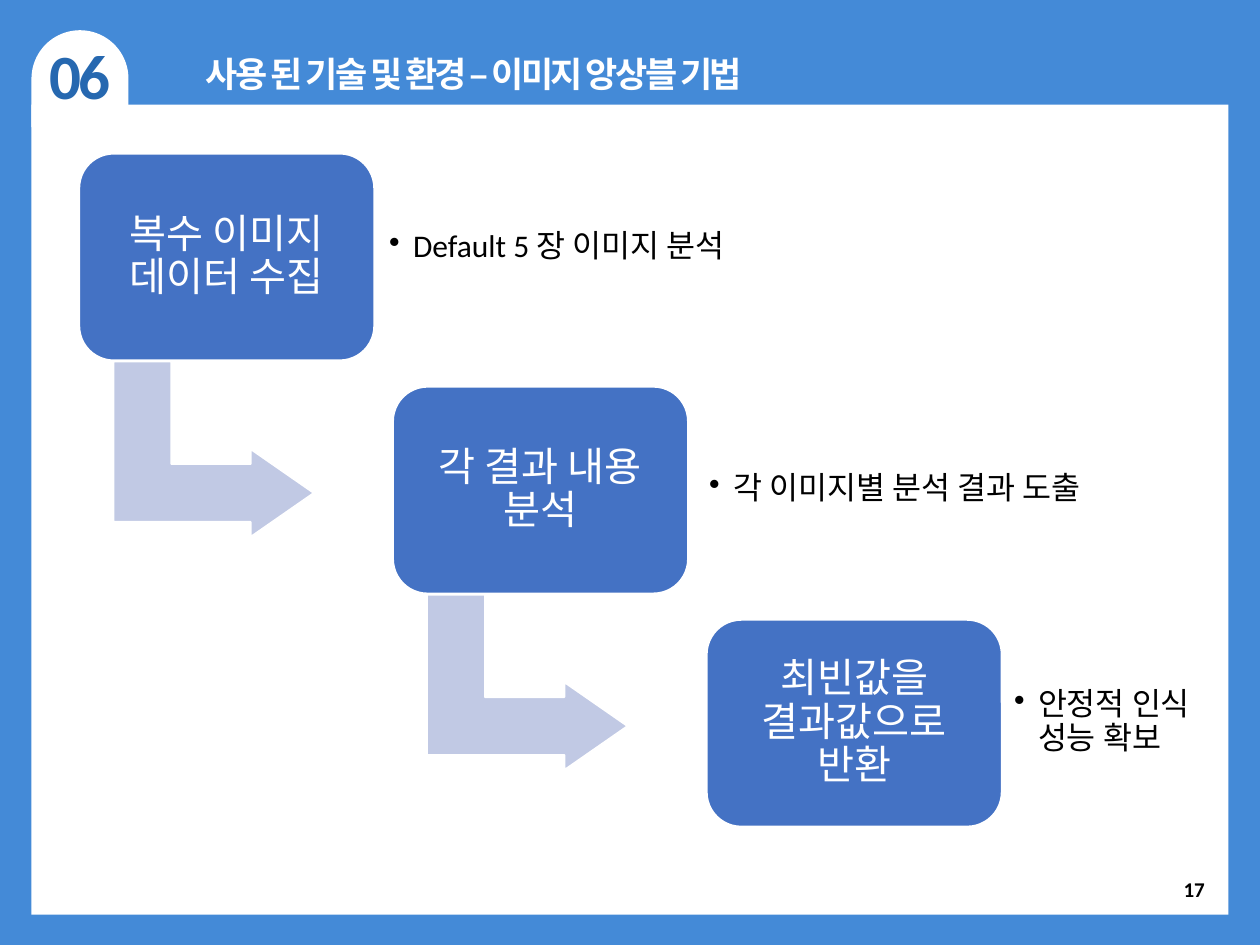
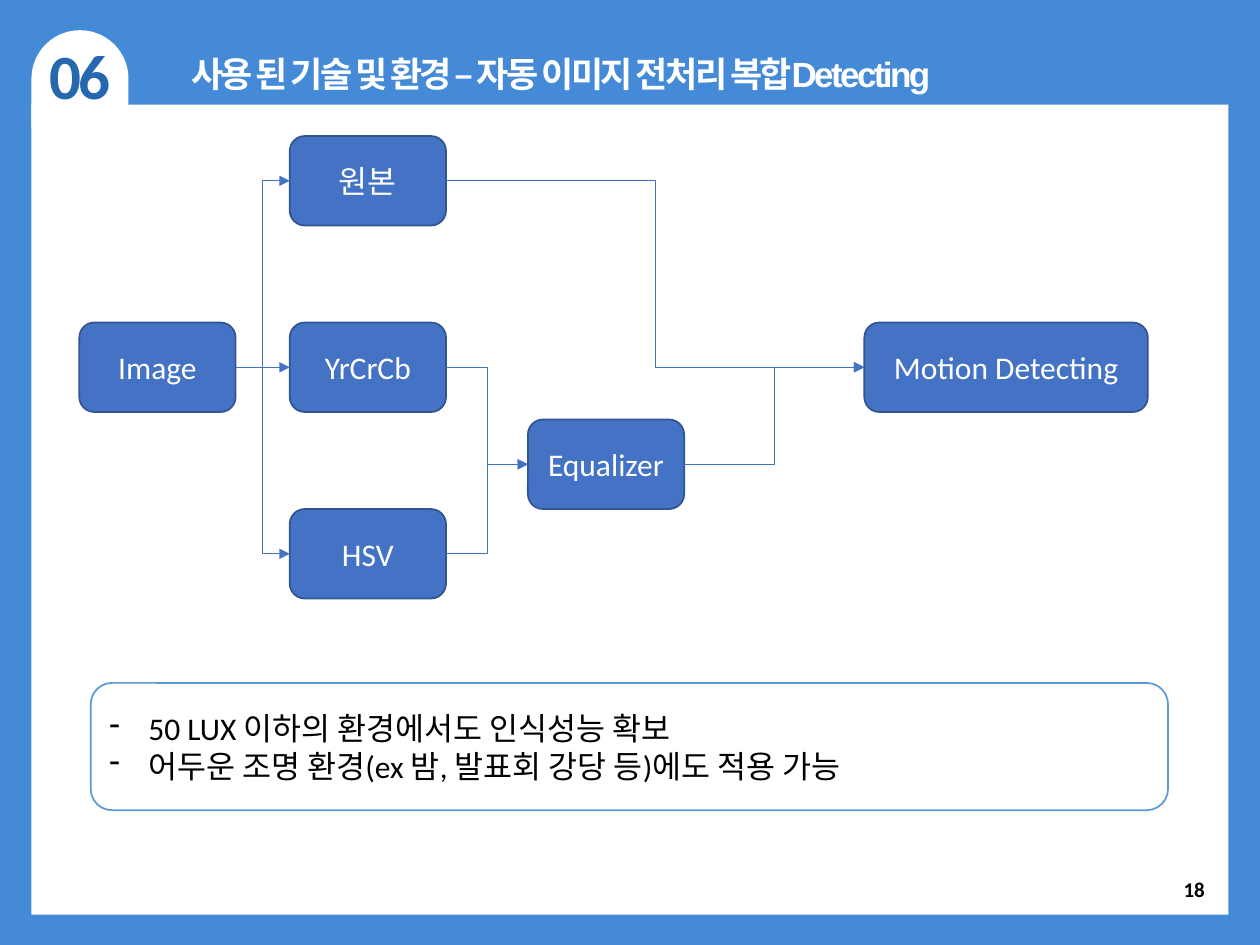
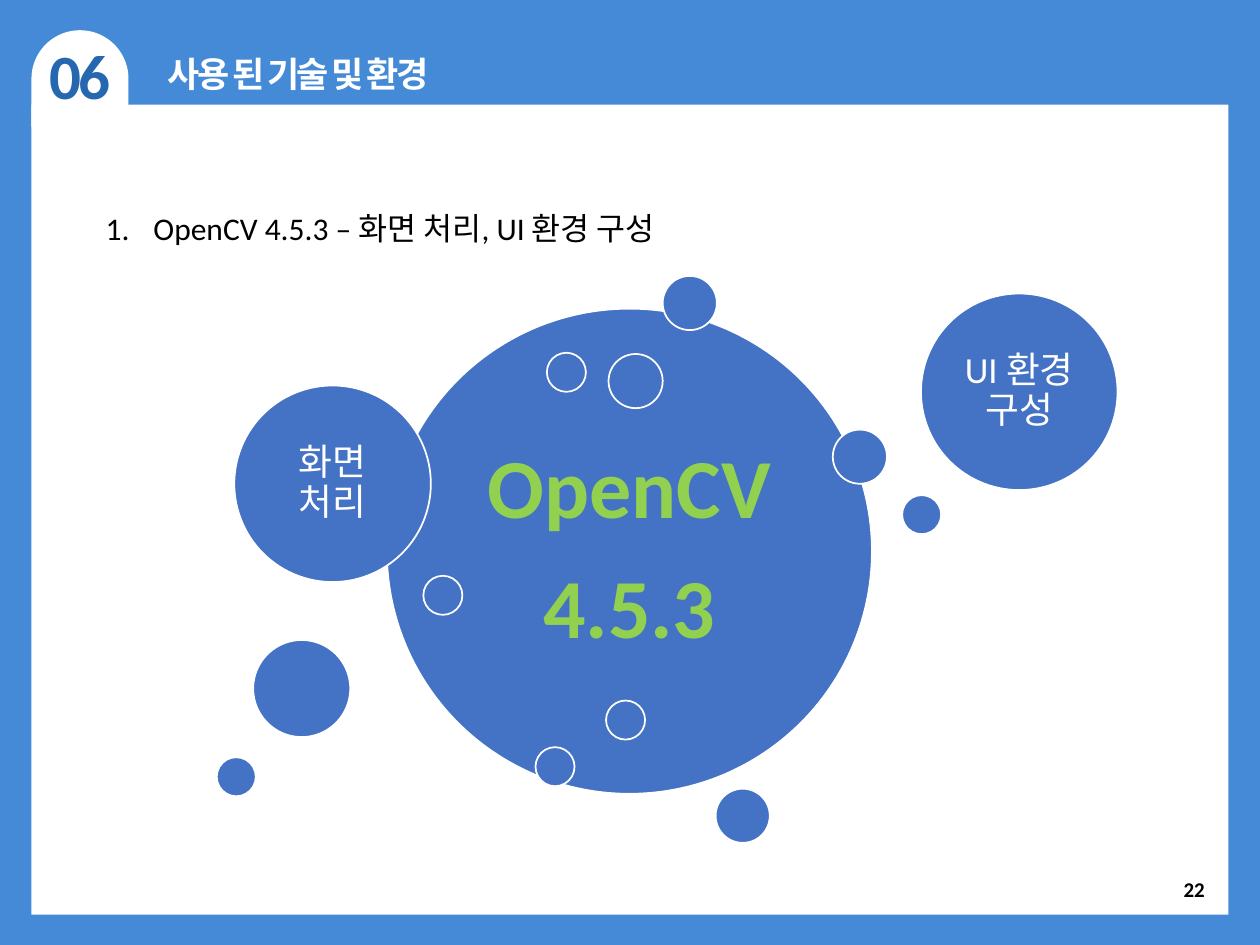
"""Build three slides on the techniques and environment of an image project."""
from dataclasses import dataclass
from typing import Optional

from lxml import etree
from pptx import Presentation
from pptx.dml.color import RGBColor
from pptx.enum.shapes import MSO_CONNECTOR, MSO_SHAPE
from pptx.enum.text import MSO_ANCHOR, PP_ALIGN
from pptx.oxml.ns import qn
from pptx.util import Inches, Pt

RECT = MSO_SHAPE.RECTANGLE
ROUND = MSO_SHAPE.ROUNDED_RECTANGLE
OVAL = MSO_SHAPE.OVAL
DELAY = MSO_SHAPE.FLOWCHART_DELAY
BENT = MSO_SHAPE.BENT_UP_ARROW
ELBOW = MSO_CONNECTOR.ELBOW
LEFT, MID, RIGHT = PP_ALIGN.LEFT, PP_ALIGN.CENTER, PP_ALIGN.RIGHT
TOP, CORE = MSO_ANCHOR.TOP, MSO_ANCHOR.MIDDLE

COLORS = {
    "sky": "448AD7", "white": "FFFFFF", "black": "000000", "badge": "2668B0",
    "blue": "4472C4", "edge": "325491", "pale": "C1C9E4", "rim": "5B9BD5",
    "lime": "92D050",
}


@dataclass(frozen=True)
class Area:
    left: float
    top: float
    width: float
    height: float


@dataclass(frozen=True)
class Style:
    size: float
    color: str = "black"
    bold: bool = False
    face: str = "Calibri"
    track: int = 0
    align: PP_ALIGN = LEFT
    anchor: MSO_ANCHOR = CORE
    wrap: bool = True
    pad: Optional[float] = None
    line: Optional[float] = None
    after: float = 0
    mark: str = ""
    hang: float = 0


@dataclass(frozen=True)
class Stage:
    label: str
    note: str
    area: Area


@dataclass(frozen=True)
class Node:
    label: str
    left: float
    top: float
    width: float = 1.24


@dataclass(frozen=True)
class Dot:
    left: float
    top: float
    size: float
    lines: tuple = ()
    style: Optional[Style] = None


PAGE = Style(12, bold=True, align=RIGHT)
BADGE = Style(36, "badge", True, track=-150, align=MID, anchor=TOP, wrap=False)
TITLE = Style(20, "white", True, "Arial", -150, MID, TOP, False)
STEP = Style(23, "white", align=MID, pad=0.1, line=0.9, after=8)
NOTE = Style(18, pad=0.1, line=0.9, after=2.7, mark="•", hang=0.19)
NODE = Style(18, "white", align=MID)
DASH = Style(18, mark="-", hang=0.31)
ITEM = Style(18, anchor=TOP, mark="1.", hang=0.38)
CORE_TEXT = Style(48, "lime", True, align=MID, pad=0.2, line=0.9, after=16.8)
SIDE_TEXT = Style(21, "white", align=MID, pad=0.09, line=0.9, after=7.4)

STAGES = (
    Stage("복수 이미지 데이터 수집", "Default 5 장 이미지 분석", Area(2.99, 1.3, 3.96, 1.33)),
    Stage("각 결과 내용 분석", "각 이미지별 분석 결과 도출", Area(5.53, 3.22, 3.41, 1.33)),
    Stage("최빈값을 결과값으로 반환", "안정적 인식 성능 확보", Area(7.95, 5.07, 1.7, 1.33)),
)
NODES = (
    Node("Image", 0.63, 2.56),
    Node("원본", 2.3, 1.08),
    Node("YrCrCb", 2.3, 2.56),
    Node("HSV", 2.3, 4.04),
    Node("Equalizer", 4.19, 3.33),
    Node("Motion Detecting", 6.86, 2.56, 2.25),
)
LINKS = (
    ("Image", "원본"), ("Image", "YrCrCb"), ("Image", "HSV"),
    ("원본", "Motion Detecting"), ("YrCrCb", "Equalizer"),
    ("HSV", "Equalizer"), ("Equalizer", "Motion Detecting"),
)
BIG, MAIN, SIDE, SMALL, TINY = 3.85, 1.56, 0.77, 0.43, 0.31
DOTS = (
    Dot(3.07, 2.45, BIG, ("OpenCV", "4.5.3"), CORE_TEXT),
    Dot(5.26, 2.19, SMALL),
    Dot(4.25, 5.93, TINY),
    Dot(7.16, 3.93, TINY),
    Dot(5.68, 6.26, SMALL),
    Dot(4.34, 2.8, TINY),
    Dot(3.36, 4.57, TINY),
    Dot(1.86, 3.06, MAIN, ("화면 처리",), SIDE_TEXT),
    Dot(4.83, 2.81, SMALL),
    Dot(2.01, 5.08, SIDE),
    Dot(7.31, 2.33, MAIN, ("UI 환경 구성",), SIDE_TEXT),
    Dot(6.61, 3.41, SMALL),
    Dot(1.72, 6.01, TINY),
    Dot(4.81, 5.56, TINY),
)


def rgb(name: str) -> RGBColor:
    """Look up a named colour."""
    return RGBColor.from_string(COLORS[name])


def frame(area: Area) -> tuple:
    """Turn an area into lengths."""
    return tuple(Inches(n) for n in (area.left, area.top, area.width, area.height))


def bullet(para, style: Style) -> None:
    """Give a paragraph a hanging bullet or number."""
    props = para._p.get_or_add_pPr()
    props.set("marL", str(Inches(style.hang)))
    props.set("indent", str(-Inches(style.hang)))
    if style.mark == "1.":
        etree.SubElement(props, qn("a:buAutoNum"), type="arabicPeriod")
    else:
        etree.SubElement(props, qn("a:buChar"), char=style.mark)


def write(shape, lines: tuple, style: Style) -> None:
    """Write lines into a shape, one paragraph each."""
    text = shape.text_frame
    text.word_wrap = style.wrap
    text.vertical_anchor = style.anchor
    if style.pad is not None:
        text.margin_left = text.margin_right = Inches(style.pad)
        text.margin_top = text.margin_bottom = Inches(style.pad)
    for i, line in enumerate(lines):
        para = text.add_paragraph() if i else text.paragraphs[0]
        if style.mark:
            bullet(para, style)
        para.alignment = style.align
        if style.line:
            para.line_spacing = style.line
        if style.after:
            para.space_after = Pt(style.after)
        run = para.add_run()
        run.text = line
        font = run.font
        font.name, font.size, font.bold = style.face, Pt(style.size), style.bold
        font.color.rgb = rgb(style.color)
        if style.track:
            run._r.get_or_add_rPr().set("spc", str(style.track))


def label(slide, area: Area, lines: tuple, style: Style) -> None:
    """Add a text box."""
    write(slide.shapes.add_textbox(*frame(area)), lines, style)


def draw(slide, kind: MSO_SHAPE, area: Area, fill: str, edge: str = ""):
    """Add a flat preset shape."""
    shape = slide.shapes.add_shape(kind, *frame(area))
    shape.shadow.inherit = False
    shape.fill.solid()
    shape.fill.fore_color.rgb = rgb(fill)
    if edge:
        shape.line.color.rgb = rgb(edge)
        shape.line.width = Pt(1)
    else:
        shape.line.fill.background()
    return shape


def link(slide, start, end) -> None:
    """Join two nodes with an elbow arrow."""
    wire = slide.shapes.add_connector(ELBOW, 0, 0, 0, 0)
    wire.begin_connect(start, 3)
    wire.end_connect(end, 1)
    wire.line.color.rgb = rgb("blue")
    wire.line.width = Pt(0.5)
    etree.SubElement(wire.line._get_or_add_ln(), qn("a:tailEnd"), type="triangle")
    etree.SubElement(wire._element.spPr, qn("a:effectLst"))


def base(deck, title: str, width: float, page: str):
    """Add a slide with its frame, badge, title and page number."""
    slide = deck.slides.add_slide(deck.slide_layouts[6])
    draw(slide, RECT, Area(0, 0, 10, 7.5), "sky")
    draw(slide, DELAY, Area(0.25, 0.24, 0.77, 0.77), "white").rotation = 270
    draw(slide, RECT, Area(0.25, 0.83, 9.5, 6.43), "white")
    label(slide, Area(7.41, 6.86, 2.25, 0.4), (page,), PAGE)
    label(slide, Area(0.29, 0.24, 0.69, 0.71), ("06",), BADGE)
    label(slide, Area(0.98, 0.37, width, 0.44), (title,), TITLE)
    return slide


def steps(deck) -> None:
    """Draw the staircase of ensemble stages."""
    slide = base(deck, "사용 된 기술 및 환경 – 이미지 앙상블 기법", 5.56, "17")
    for i, stage in enumerate(STAGES):
        left, top = 0.63 + 2.49 * i, 1.22 + 1.85 * i
        if i < len(STAGES) - 1:
            turn = draw(slide, BENT, Area(left + 0.37, top + 1.55, 1.39, 1.59), "pale", "white")
            turn.rotation = 90
            for k, value in enumerate((0.33, 0.25, 0.36)):
                turn.adjustments[k] = value
        box = draw(slide, ROUND, Area(left, top, 2.34, 1.64), "blue", "white")
        write(box, (stage.label,), STEP)
        label(slide, stage.area, (stage.note,), NOTE)


def flow(deck) -> None:
    """Draw the flow of image preprocessing."""
    slide = base(deck, "사용 된 기술 및 환경 – 자동 이미지 전처리 복합Detecting", 6.94, "18")
    boxes = {}
    for node in NODES:
        area = Area(node.left, node.top, node.width, 0.71)
        boxes[node.label] = draw(slide, ROUND, area, "blue", "edge")
        write(boxes[node.label], (node.label,), NODE)
    for start, end in LINKS:
        link(slide, boxes[start], boxes[end])
    panel = draw(slide, ROUND, Area(0.72, 5.42, 8.55, 1.01), "white", "rim")
    write(panel, (
        "50 LUX 이하의 환경에서도 인식성능 확보",
        "어두운 조명 환경(ex 밤, 발표회 강당 등)에도 적용 가능",
    ), DASH)


def cloud(deck) -> None:
    """Draw the circles around the library name."""
    slide = base(deck, "사용 된 기술 및 환경", 2.77, "22")
    label(slide, Area(0.74, 1.61, 8.63, 0.4), ("OpenCV 4.5.3 – 화면 처리, UI 환경 구성",), ITEM)
    for dot in DOTS:
        ball = draw(slide, OVAL, Area(dot.left, dot.top, dot.size, dot.size), "blue", "white")
        if dot.style:
            write(ball, dot.lines, dot.style)


def main() -> None:
    """Build and save the deck."""
    deck = Presentation()
    deck.slide_width, deck.slide_height = Inches(10), Inches(7.5)
    steps(deck)
    flow(deck)
    cloud(deck)
    deck.save("out.pptx")


if __name__ == "__main__":
    main()
